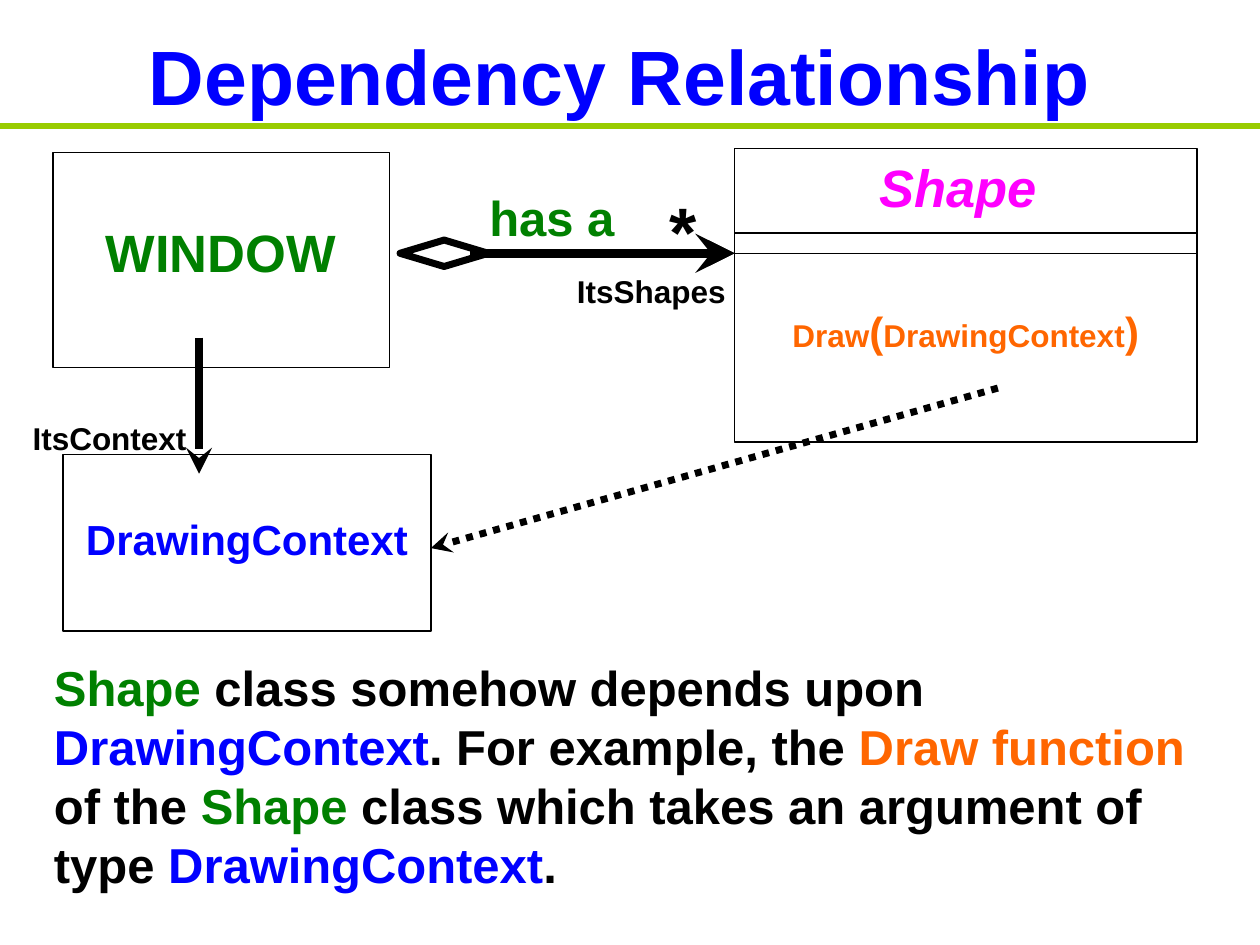
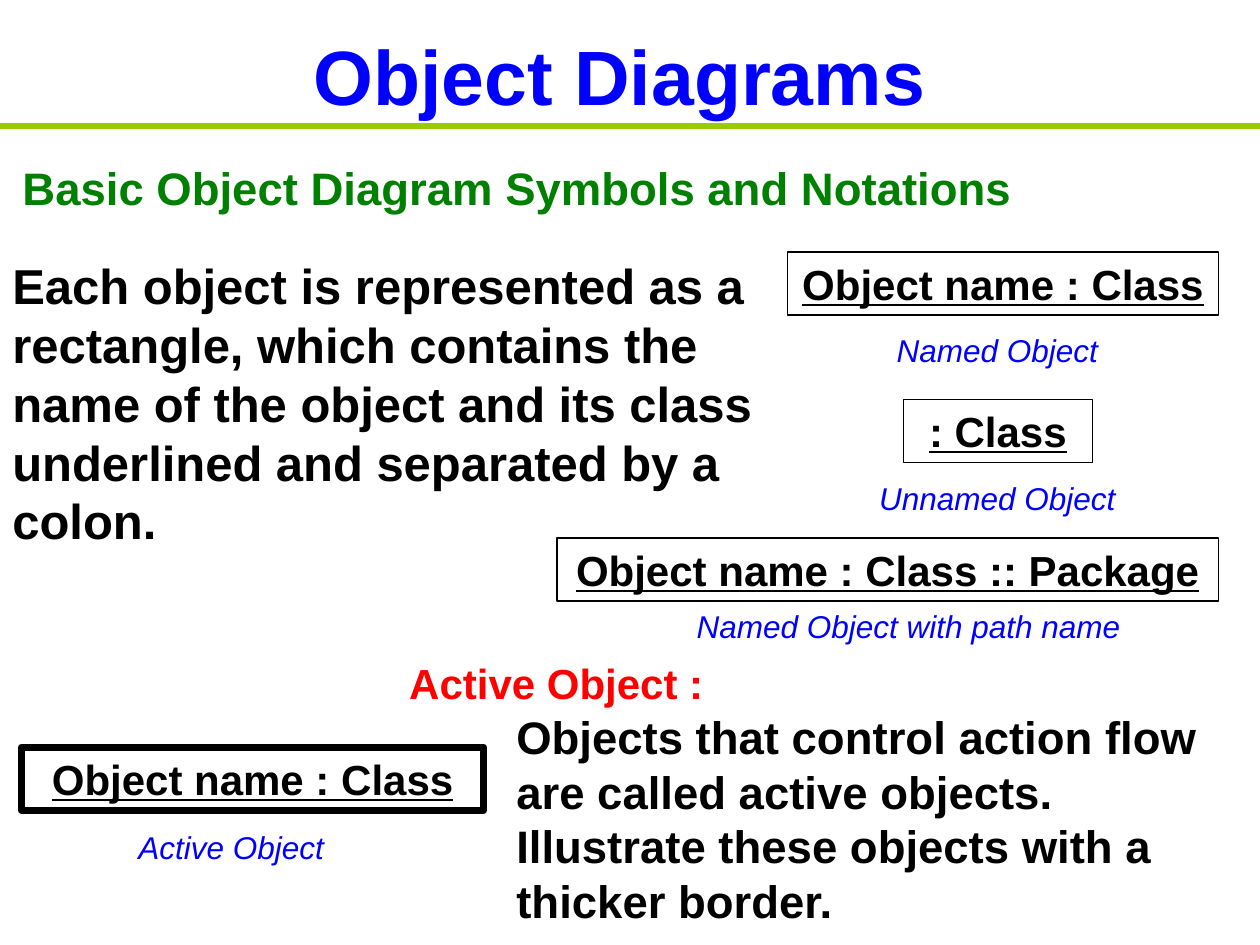
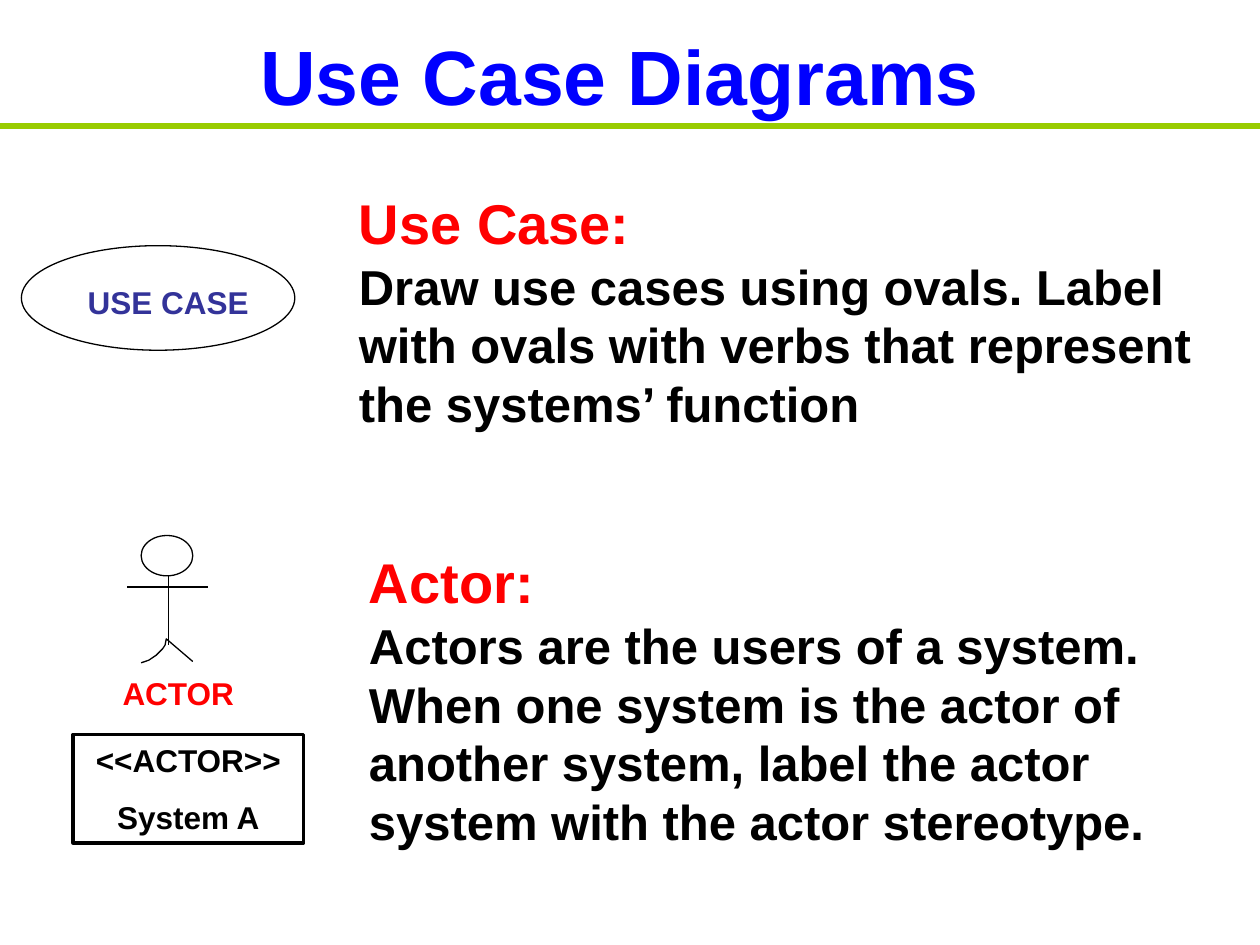
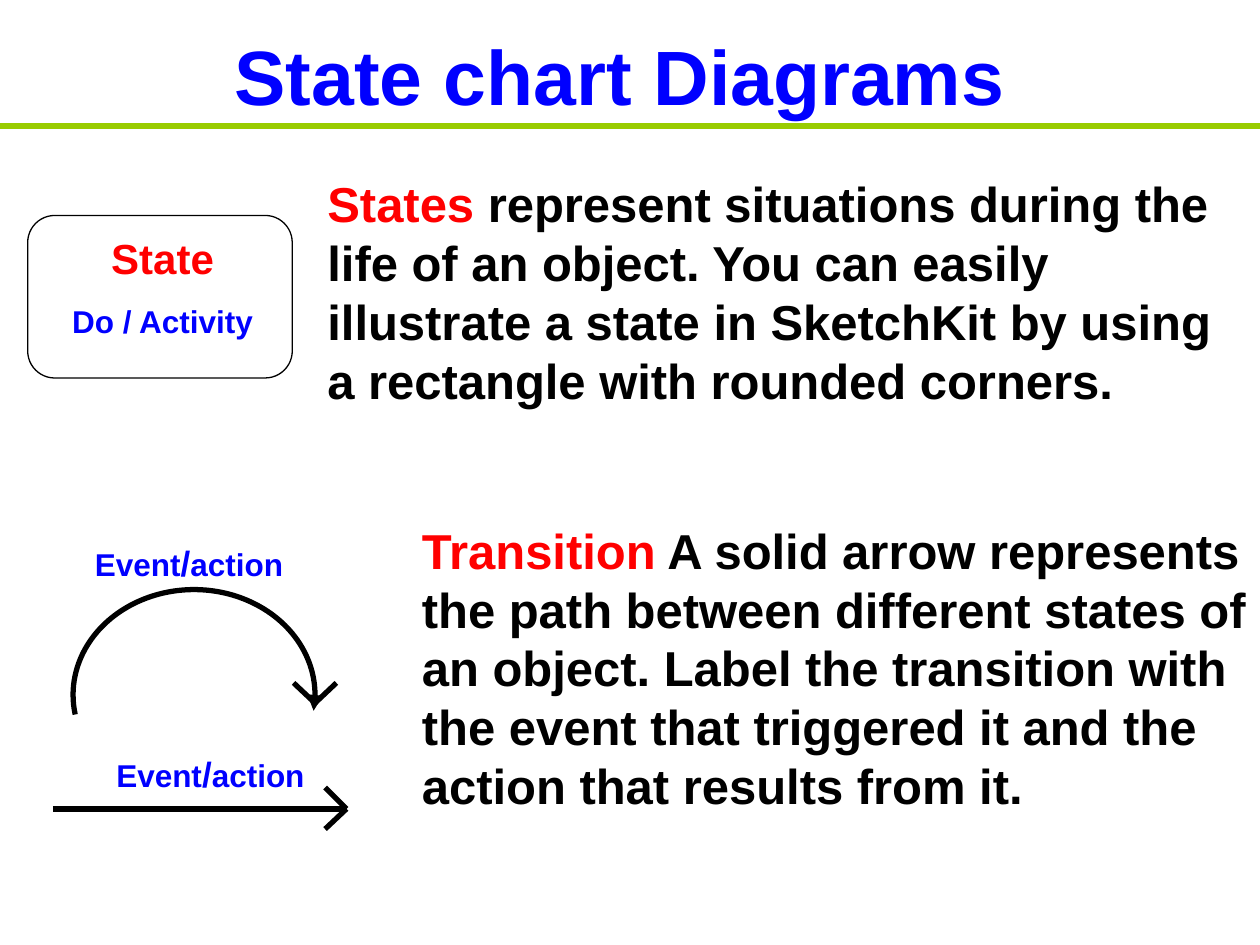
import pptx
import pptx.util
import pptx.dml.color
import pptx.enum.dml
import pptx.enum.shapes
import pptx.enum.text
import pptx.oxml.ns
from lxml import etree

PX = 9144
FONT = "Arial"
BLACK, BLUE, GREEN, RED = "000000", "0000FF", "008000", "FF0000"
ORANGE, PINK, INK, LIME = "FF6600", "FF00FF", "333399", "99CC00"
KIND = pptx.enum.shapes.MSO_SHAPE
ALIGN = pptx.enum.text.PP_ALIGN
ANCHOR = pptx.enum.text.MSO_ANCHOR
INSET = (10, 5, 10, 5)


def tint(code):
    return pptx.dml.color.RGBColor.from_string(code)


def px(*sizes):
    return [pptx.util.Emu(size * PX) for size in sizes]


def run(text, size, hue=BLACK, style="b"):
    return text, size, hue, style


class Deck:
    def __init__(self):
        self.file = pptx.Presentation()
        self.file.slide_width, self.file.slide_height = px(1000, 750)
        self.slide = None

    def page(self, title):
        self.slide = self.file.slides.add_slide(self.file.slide_layouts[5])
        head = self.slide.shapes.title
        head.left, head.top, head.width, head.height = px(67, 17, 850, 85)
        self.fill(head, [[run(title, 44, BLUE)]], anchor=ANCHOR.MIDDLE)
        self.line(0, 100, 1000, 100, 3, LIME)

    def fill(self, shape, paras, align=ALIGN.CENTER, gap=0, anchor=ANCHOR.TOP, inset=INSET):
        frame = shape.text_frame
        frame.word_wrap = True
        frame.auto_size = pptx.enum.text.MSO_AUTO_SIZE.NONE
        frame.vertical_anchor = anchor
        (frame.margin_left, frame.margin_top,
         frame.margin_right, frame.margin_bottom) = px(*inset)
        for at, runs in enumerate(paras):
            para = frame.add_paragraph() if at else frame.paragraphs[0]
            para.alignment = align
            para.space_before = pptx.util.Pt(gap if at else 0)
            for text, size, hue, style in runs:
                piece = para.add_run()
                piece.text = text
                font = piece.font
                font.name = FONT
                font.size = pptx.util.Pt(size)
                font.color.rgb = tint(hue)
                font.bold = "b" in style
                font.italic = "i" in style
                font.underline = "u" in style

    def text(self, box, paras, **look):
        self.fill(self.slide.shapes.add_textbox(*px(*box)), paras, **look)

    def body(self, box, *paras):
        self.text(box, paras, align=ALIGN.LEFT)

    def label(self, box, text, size=18, hue=BLACK, style="b"):
        self.text(box, [[run(text, size, hue, style)]])

    def pen(self, item, width, hue=BLACK, tip=None, dash=None):
        item.line.color.rgb = tint(hue)
        item.line.width = pptx.util.Pt(width)
        if dash:
            item.line.dash_style = dash
        if tip:
            stroke = item.line._get_or_add_ln()
            etree.SubElement(stroke, pptx.oxml.ns.qn("a:tailEnd"), type=tip)

    def line(self, x1, y1, x2, y2, width=0.75, hue=BLACK, tip=None, dash=None):
        item = self.slide.shapes.add_connector(
            pptx.enum.shapes.MSO_CONNECTOR.STRAIGHT, *px(x1, y1, x2, y2))
        self.pen(item, width, hue, tip, dash)
        etree.SubElement(item._element.spPr, pptx.oxml.ns.qn("a:effectLst"))

    def shape(self, kind, box, width=0.75, paras=(), **look):
        item = self.slide.shapes.add_shape(kind, *px(*box))
        self.clear(item, width)
        if paras:
            self.fill(item, paras, **look)
        return item

    def clear(self, item, width, tip=None):
        item.shadow.inherit = False
        item.fill.background()
        self.pen(item, width, tip=tip)

    def path_of(self, dots, width=0.75):
        maker = self.slide.shapes.build_freeform(*dots[0], scale=PX)
        maker.add_line_segments(dots[1:], close=False)
        self.clear(maker.convert_to_shape(), width)

    def arc(self, box, start, end, width, tip):
        item = self.slide.shapes.add_shape(KIND.ARC, *px(*box))
        item.adjustments[0] = start * 0.6
        item.adjustments[1] = end * 0.6
        self.clear(item, width, tip)

    def barbs(self, x, y, ends):
        for dx, dy in ends:
            self.line(x, y, x + dx, y + dy, 3)


def depend(deck):
    deck.page("Dependency Relationship")
    deck.shape(KIND.RECTANGLE, (42, 121, 267, 171), paras=[[run("WINDOW", 30, GREEN)]],
               anchor=ANCHOR.MIDDLE, inset=(10, 5, 10, 18))
    deck.line(373, 201, 583, 201, 5, tip="triangle")
    deck.shape(KIND.FLOWCHART_DECISION, (342, 166, 21, 70), 4).rotation = 270
    deck.label((517, 144, 50, 77), "*", 40)
    deck.label((442, 211, 150, 40), "ItsShapes")
    deck.label((367, 144, 142, 57), "has a", 28, GREEN)
    deck.shape(KIND.RECTANGLE, (50, 361, 292, 140), paras=[[run("DrawingContext", 24, BLUE)]],
               anchor=ANCHOR.MIDDLE, inset=(10, 5, 10, 12))
    call = [run("Draw", 18, ORANGE), run("(", 24, ORANGE),
            run("DrawingContext", 18, ORANGE), run(")", 24, ORANGE)]
    deck.shape(KIND.RECTANGLE, (583, 118, 367, 233),
               paras=[[run("Shape ", 30, PINK, "bi")], call], gap=50)
    deck.line(567, 201, 583, 201, 7.5, tip="stealth")
    for y in (185, 201):
        deck.line(583, y, 950, y)
    deck.line(158, 268, 158, 376, 5, tip="stealth")
    deck.line(792, 308, 342, 435, 4, tip="stealth",
              dash=pptx.enum.dml.MSO_LINE.ROUND_DOT)
    deck.label((8, 328, 158, 40), "ItsContext")
    deck.body((33, 517, 942, 197), [
        run("Shape", 28, GREEN),
        run(" class somehow depends upon ", 28),
        run("DrawingContext", 28, BLUE),
        run(". For example, the ", 28),
        run("Draw function", 28, ORANGE),
        run(" of the ", 28),
        run("Shape ", 28, GREEN),
        run("class which takes an argument of type ", 28),
        run("DrawingContext", 28, BLUE),
        run(".", 28)])


def objects(deck):
    deck.page("Object Diagrams")
    deck.body((8, 122, 808, 54),
              [run("Basic Object Diagram Symbols and Notations", 26, GREEN)])
    named = "Object name : Class"
    for box, name, width, under, note in (
            ((625, 200, 342, 50), named, 0.75, (650, 258, 283, 40), "Named Object"),
            ((717, 317, 150, 50), ": Class", 0.75, (650, 375, 283, 40), "Unnamed Object"),
            ((442, 427, 525, 50), named + " :: Package", 0.75,
             (517, 477, 408, 40), "Named Object with path name"),
            ((17, 593, 367, 50), named, 4, (42, 652, 283, 40), "Active Object")):
        deck.shape(KIND.RECTANGLE, box, width, [[run(name, 24, style="bu")]])
        deck.label(under, note, hue=BLUE, style="i")
    deck.body((0, 198, 608, 244), [run(
        "Each object is represented as a rectangle, which contains the name of the "
        "object and its class underlined and separated by a colon.", 28)])
    deck.body((400, 558, 600, 184), [run(
        "Objects that control action flow are called active objects. Illustrate "
        "these objects with a thicker border.", 26)])
    deck.label((300, 517, 283, 50), "Active Object :", 24, RED)


def cases(deck):
    deck.page("Use Case Diagrams")
    deck.shape(KIND.OVAL, (112, 425, 41, 32))
    deck.line(134, 457, 134, 512)
    deck.line(101, 466, 165, 466)
    deck.path_of([(112, 526), (118, 524), (124, 520), (129, 515),
                  (131, 512), (132, 507), (153, 525)])
    deck.label((83, 530, 117, 40), "ACTOR", hue=RED)
    deck.body((283, 430, 675, 250), [run("Actor:", 32, RED)], [run(
        "Actors are the users of a system. When one system is the actor of another "
        "system, label the actor system with the actor stereotype.", 28)])
    deck.shape(KIND.RECTANGLE, (58, 583, 183, 86), 2,
               [[run("<<ACTOR>>", 18)], [run("System A", 18)]], gap=11.2)
    deck.shape(KIND.OVAL, (17, 195, 217, 83))
    deck.label((50, 220, 167, 40), "USE CASE", hue=INK)
    deck.body((275, 145, 692, 204), [run("Use Case:", 32, RED)], [run(
        "Draw use cases using ovals. Label with ovals with verbs that represent "
        "the systems’ function", 28)])


def states(deck):
    deck.page("State chart Diagrams")
    deck.text((8, 184, 242, 86),
              [[run("State", 24, RED)], [run("Do / Activity", 18, BLUE)]],
              gap=11.2, anchor=ANCHOR.MIDDLE, inset=(0, 0, 0, 0))
    deck.shape(KIND.ROUNDED_RECTANGLE, (22, 171, 210, 129))
    deck.body((250, 133, 750, 197), [run("States", 28, RED), run(
        " represent situations during the life of an object. You can easily "
        "illustrate a state in SketchKit by using a rectangle with rounded corners.", 28)])
    deck.body((325, 408, 675, 244), [run("Transition", 28, RED), run(
        " A solid arrow represents the path between different states of an object. "
        "Label the transition with the event that triggered it and the action that "
        "results from it.", 28)])
    event = [run("Event", 18, BLUE), run("/", 20, BLUE), run("action", 18, BLUE)]
    for x, y in ((50, 425), (67, 592)):
        deck.text((x, y, 200, 44), [event])
    deck.arc((58, 468, 192, 167), 170.6, 7.6, 3, "triangle")
    deck.barbs(250, 558, ((17, -16), (-17, -16)))
    deck.barbs(275, 642, ((-17, -17), (-17, 16)))
    deck.line(42, 642, 275, 642, 3)


def main():
    deck = Deck()
    for build in (depend, objects, cases, states):
        build(deck)
    deck.file.save("out.pptx")


if __name__ == "__main__":
    main()
